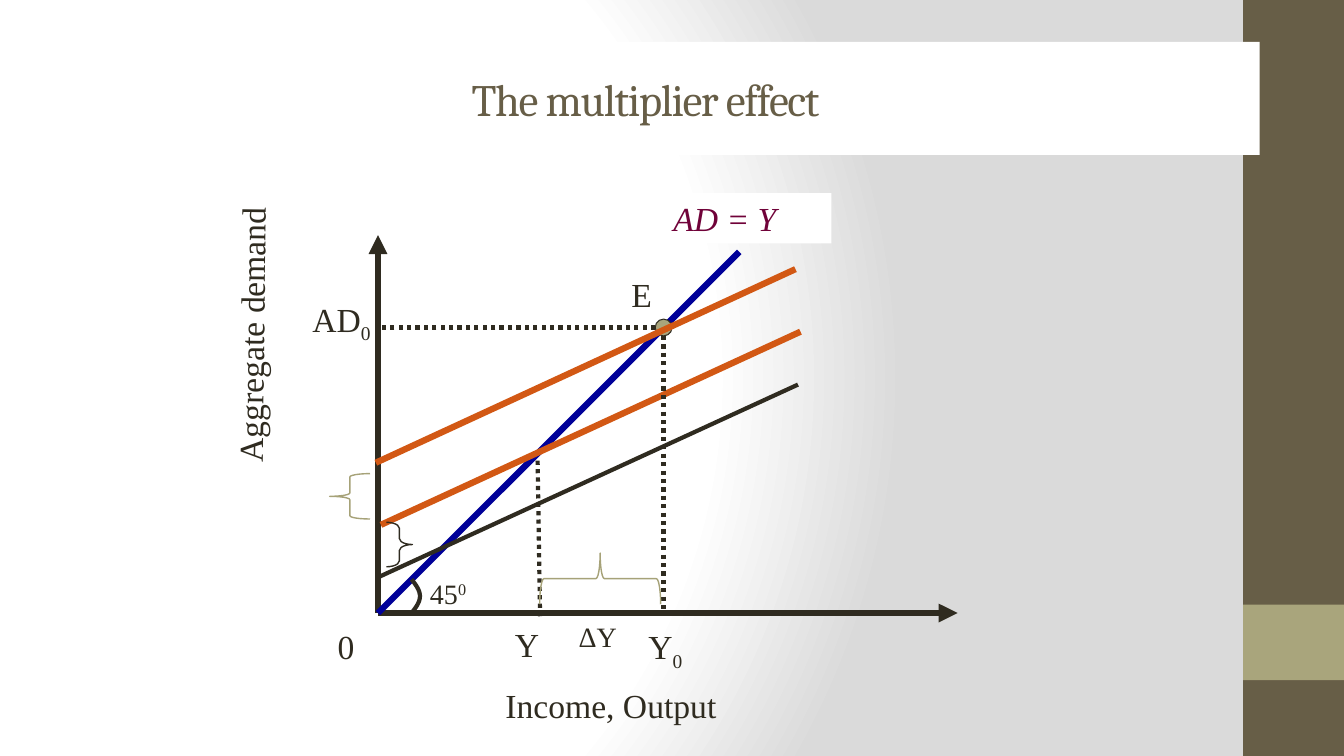
from dataclasses import dataclass
from math import pi, sin

from pptx import Presentation
from pptx.dml.color import RGBColor
from pptx.enum.dml import MSO_LINE
from pptx.enum.shapes import MSO_CONNECTOR, MSO_SHAPE
from pptx.enum.text import MSO_ANCHOR, MSO_AUTO_SIZE, PP_ALIGN
from pptx.oxml import parse_xml
from pptx.oxml.ns import nsdecls, qn
from pptx.oxml.xmlchemy import OxmlElement
from pptx.util import Inches, Pt

COLUMNS = 160
INK = "2F2B20"
BROWN = "675E47"
OLIVE = "A9A57C"
BRACE_OLIVE = "A6A278"
ORANGE = "D25814"
BLUE = "000099"
WINE = "700239"
WHITE = "FFFFFF"
GREY = "DADADA"

presentation = Presentation()
presentation.slide_width = Inches(13.33)
presentation.slide_height = Inches(7.5)
UNIT = presentation.slide_width / COLUMNS
slide = presentation.slides.add_slide(presentation.slide_layouts[5])


@dataclass
class Line:
    start: tuple[float, float]
    end: tuple[float, float]
    hue: str = INK
    weight: float = 4.5
    dotted: bool = False
    arrow: bool = False


@dataclass
class Figure:
    kind: MSO_SHAPE
    box: tuple[float, float, float, float]
    fill: str = ""
    outline: str = ""
    weight: float = 1
    rotation: float = 0
    curl: float = 0


@dataclass
class Label:
    text: str
    box: tuple[float, float, float, float]
    size: int = 24
    hue: str = INK
    suffix: str = ""
    baseline: int = 0
    italic: bool = False
    fill: str = ""
    rotation: float = 0


def grid(*values: float) -> list[int]:
    return [round(value * UNIT) for value in values]


def color(value: str) -> RGBColor:
    return RGBColor.from_string(value)


def write_text(paragraph, text: str, *, size: int, hue: str, font: str = "Times New Roman",
               italic: bool = False, baseline: int = 0, spacing: int = 0) -> None:
    run = paragraph.add_run()
    run.text = text
    run.font.name = font
    run.font.size = Pt(size)
    run.font.italic = italic
    run.font.color.rgb = color(hue)
    properties = run.font._element
    if baseline:
        properties.set("baseline", str(baseline * 1000))
    if spacing:
        properties.set("spc", str(spacing * 100))


def paint(shape, fill: str, outline: str, weight: float) -> None:
    shape.shadow.inherit = False
    if fill:
        shape.fill.solid()
        shape.fill.fore_color.rgb = color(fill)
    else:
        shape.fill.background()
    if outline:
        shape.line.color.rgb = color(outline)
        shape.line.width = Pt(weight)
    else:
        shape.line.fill.background()


def draw_figure(figure: Figure) -> None:
    shape = slide.shapes.add_shape(figure.kind, *grid(*figure.box))
    paint(shape, figure.fill, figure.outline, figure.weight)
    shape.rotation = figure.rotation
    if figure.curl:
        shape.adjustments[0] = figure.curl


def draw_line(line: Line) -> None:
    connector = slide.shapes.add_connector(
        MSO_CONNECTOR.STRAIGHT, *grid(*line.start, *line.end))
    connector.line.color.rgb = color(line.hue)
    connector.line.width = Pt(line.weight)
    if line.dotted:
        connector.line.dash_style = MSO_LINE.ROUND_DOT
    if line.arrow:
        head = OxmlElement("a:tailEnd")
        head.set("type", "triangle")
        connector.line._get_or_add_ln().append(head)
    connector._element.spPr.append(OxmlElement("a:effectLst"))


def draw_label(label: Label) -> None:
    shape = slide.shapes.add_textbox(*grid(*label.box))
    shape.rotation = label.rotation
    if label.fill:
        shape.fill.solid()
        shape.fill.fore_color.rgb = color(label.fill)
    frame = shape.text_frame
    frame.word_wrap = True
    frame.auto_size = MSO_AUTO_SIZE.SHAPE_TO_FIT_TEXT
    paragraph = frame.paragraphs[0]
    write_text(paragraph, label.text, size=label.size, hue=label.hue, italic=label.italic)
    if label.suffix:
        write_text(paragraph, label.suffix, size=label.size, hue=label.hue,
                   baseline=label.baseline)


def draw_background() -> None:
    fill = slide.background.fill
    fill.solid()
    solid = slide._element.find(".//" + qn("a:solidFill"))
    stops = "".join(
        f'<a:gs pos="{position * 1000}"><a:srgbClr val="{value}"/></a:gs>'
        for position, value in ((0, WHITE), (75, WHITE), (100, GREY)))
    gradient = parse_xml(
        f'<a:gradFill {nsdecls("a")} rotWithShape="1"><a:gsLst>{stops}</a:gsLst>'
        '<a:path path="circle"><a:fillToRect l="20000" t="50000" r="100000" b="50000"/>'
        '</a:path></a:gradFill>')
    solid.getparent().replace(solid, gradient)


def draw_title(text: str) -> None:
    title = slide.shapes.title
    title.left, title.top, title.width, title.height = grid(3.75, 5, 146.2, 13.45)
    title.fill.solid()
    title.fill.fore_color.rgb = color(WHITE)
    title.text_frame.vertical_anchor = MSO_ANCHOR.MIDDLE
    paragraph = title.text_frame.paragraphs[0]
    paragraph.alignment = PP_ALIGN.CENTER
    write_text(paragraph, text, size=32, hue=BROWN, font="Cambria", spacing=-1)
    slide.shapes._spTree.append(title._element)


def draw_angle(left: float, top: float, height: float, steps: int = 16) -> None:
    points = [grid(left + sin(pi * step / steps), top + height * step / steps)
              for step in range(steps + 1)]
    builder = slide.shapes.build_freeform(*points[0])
    builder.add_line_segments(points[1:], close=False)
    paint(builder.convert_to_shape(), "", INK, 3)


SIDEBAR = [
    Figure(MSO_SHAPE.RECTANGLE, (148, 0, 12, 90), BROWN),
    Figure(MSO_SHAPE.RECTANGLE, (148, 72, 12, 9), OLIVE),
]
AXES = [
    Line((45, 73), (45, 28), arrow=True),
    Line((45, 73), (114, 73), arrow=True),
    Line((45, 73), (88, 30), BLUE),
]
EQUILIBRIUM = Figure(MSO_SHAPE.OVAL, (78, 38, 2, 2), OLIVE, INK, 0.75)
CURVES = [
    Line((45, 68.75), (95, 45.8), weight=3),
    Line((45.35, 62.5), (95.3, 39.5), ORANGE),
    Line((79, 40), (79, 73), weight=3, dotted=True),
    Line((78, 39), (45, 39), weight=3, dotted=True),
    Line((44.75, 55.1), (94.7, 32.05), ORANGE),
    Line((64, 54.85), (64.3, 73.55), weight=3, dotted=True),
]
BRACES = [
    Figure(MSO_SHAPE.RIGHT_BRACE, (46, 62.2, 3.1, 5.3), outline=INK, curl=0.229),
    Figure(MSO_SHAPE.LEFT_BRACE, (39.25, 56.4, 4.8, 5.4), outline=BRACE_OLIVE),
    Figure(MSO_SHAPE.RIGHT_BRACE, (68.4, 61.7, 6.1, 14.4), outline=BRACE_OLIVE, rotation=270),
]
LABELS = [
    Label("Income, Output", (59, 81, 53, 6)),
    Label("Aggregate demand", (11.4, 34.7, 37, 6), rotation=270.7),
    Label("0", (39, 74, 8, 6)),
    Label("45", (50, 68, 8, 5.2), size=20, suffix="0", baseline=30),
    Label("AD = Y", (79, 23, 20, 6), hue=WINE, italic=True, fill=WHITE),
    Label("AD", (36, 35, 11, 6), suffix="0", baseline=-25),
    Label("E", (74, 32, 6, 6)),
    Label("Y", (76, 74, 7, 6), suffix="0", baseline=-25),
    Label("Y", (60.1, 73.7, 7, 6)),
    Label("ΔY", (67.7, 73.2, 9.4, 5.3), size=20),
]

draw_background()
for bar in SIDEBAR:
    draw_figure(bar)
draw_title("The multiplier effect")
for axis in AXES:
    draw_line(axis)
draw_angle(49, 69, 4)
draw_figure(EQUILIBRIUM)
for curve in CURVES:
    draw_line(curve)
for brace in BRACES:
    draw_figure(brace)
for label in LABELS:
    draw_label(label)
presentation.save("out.pptx")
